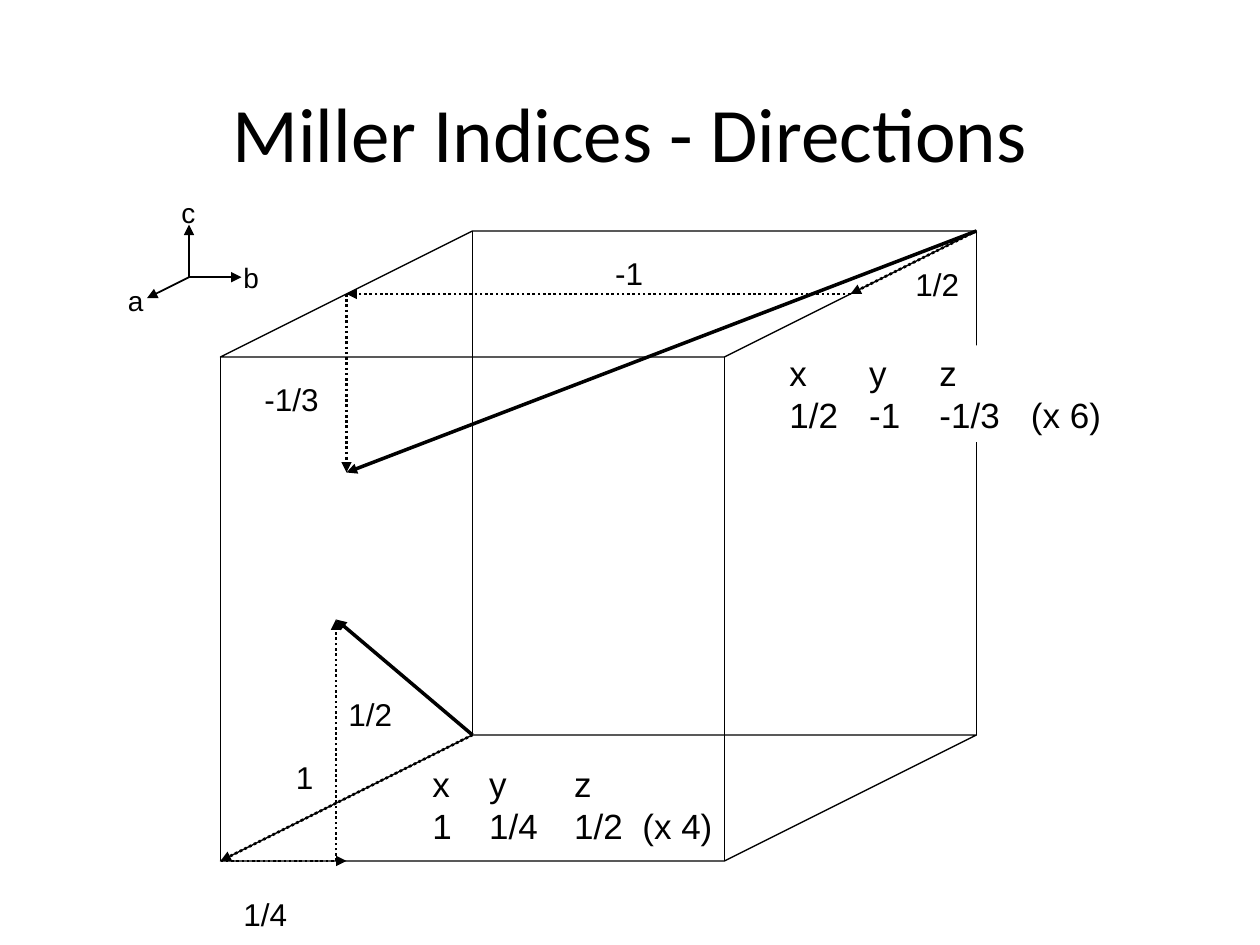
from typing import NamedTuple

from pptx import Presentation
from pptx.dml.color import RGBColor
from pptx.enum.dml import MSO_LINE_DASH_STYLE as Dash
from pptx.enum.shapes import MSO_CONNECTOR as Connector
from pptx.enum.text import MSO_ANCHOR as Anchor, MSO_AUTO_SIZE as AutoSize, PP_ALIGN as Align
from pptx.oxml.ns import qn
from pptx.util import Emu, Pt
from lxml.etree import SubElement

PX = 7620  # EMU per px, 120 px to the inch
BLACK, WHITE = "000000", "FFFFFF"

# Cube edges
FRONT_X, BACK_X = (210, 690), (450, 930)
TOP_FRONT, TOP_BACK, EDGE = 340, 220, 480


class Point(NamedTuple):
    x: int
    y: int


class Label(NamedTuple):
    text: str
    left: int
    top: int
    width: int
    height: int
    size: int
    fill: str | None = None


def colour(value: str) -> RGBColor:
    return RGBColor.from_string(value)


def add_text(page, text: str, left: int, top: int, width: int, height: int, *,
             size: int, font: str = "Arial", fill: str | None = None,
             align: Align = Align.LEFT, wrap: bool = False) -> None:
    box = page.shapes.add_textbox(*(Emu(v * PX) for v in (left, top, width, height)))
    if fill:
        box.fill.solid()
        box.fill.fore_color.rgb = colour(fill)
    frame = box.text_frame
    frame.word_wrap = wrap
    frame.auto_size = AutoSize.NONE if wrap else AutoSize.SHAPE_TO_FIT_TEXT
    frame.vertical_anchor = Anchor.MIDDLE
    for index, line in enumerate(text.split("\n")):
        para = frame.add_paragraph() if index else frame.paragraphs[0]
        para.alignment = align
        span = para.add_run()
        span.text = line
        span.font.size = Pt(size)
        span.font.name = font
        span.font.color.rgb = colour(BLACK)


def add_line(page, start: Point, end: Point, *, weight: float = 0.75,
             arrow: bool = True, dotted: bool = False) -> None:
    line = page.shapes.add_connector(Connector.STRAIGHT, *(Emu(v * PX) for v in (*start, *end)))
    line.line.color.rgb = colour(BLACK)
    line.line.width = Pt(weight)
    if dotted:
        line.line.dash_style = Dash.ROUND_DOT
    properties = line._element.spPr
    if arrow:
        SubElement(properties.find(qn("a:ln")), qn("a:tailEnd"), type="triangle")
    SubElement(properties, qn("a:effectLst"))


def add_face(page, corners: list[Point]) -> None:
    builder = page.shapes.build_freeform(*corners[0], scale=PX)
    builder.add_line_segments(corners[1:], close=True)
    face = builder.convert_to_shape()
    face.shadow.inherit = False
    face.fill.background()
    face.line.color.rgb = colour(BLACK)
    face.line.width = Pt(0.75)


def add_cube(page) -> None:
    top = [Point(FRONT_X[0], TOP_FRONT), Point(FRONT_X[1], TOP_FRONT),
           Point(BACK_X[1], TOP_BACK), Point(BACK_X[0], TOP_BACK)]
    bottom = [Point(x, y + EDGE) for x, y in top]
    add_face(page, top)
    add_face(page, bottom)
    for upper, lower in zip(top, bottom):
        add_line(page, upper, lower, arrow=False)


def add_direction(page, steps: list[tuple[Point, Point]], start: Point, end: Point) -> None:
    for step in steps:
        add_line(page, *step, weight=1.5, dotted=True)
    add_line(page, start, end, weight=2)


def add_labels(page, labels: list[Label]) -> None:
    for label in labels:
        add_text(page, *label[:5], size=label.size, fill=label.fill)


def main() -> None:
    deck = Presentation()
    deck.slide_width, deck.slide_height = Emu(1200 * PX), Emu(900 * PX)
    page = deck.slides.add_slide(deck.slide_layouts[6])

    add_text(page, "Miller Indices - Directions", 90, 50, 1020, 150,
             size=44, font="Calibri", align=Align.CENTER, wrap=True)
    add_cube(page)

    # Axes
    for tip in (Point(140, 284), Point(180, 214), Point(230, 264)):
        add_line(page, Point(180, 264), tip, weight=1)
    add_labels(page, [
        Label("b", 220, 242, 41, 44, 16),
        Label("a", 110, 264, 39, 44, 16),
        Label("c", 161, 180, 39, 44, 16),
    ])

    # Lower direction
    back, front, tip = Point(450, 700), Point(210, 820), Point(320, 590)
    add_direction(page, [(back, front), (front, Point(330, 820)), (Point(320, 820), tip)], back, tip)
    add_labels(page, [
        Label("1", 270, 710, 47, 60, 18),
        Label("1/4", 220, 840, 79, 60, 18),
        Label("1/2", 320, 650, 79, 60, 18),
    ])

    # Upper direction
    route = [Point(930, 220), Point(810, 280), Point(330, 280), Point(330, 450)]
    add_direction(page, list(zip(route, route[1:])), route[0], route[-1])
    add_labels(page, [
        Label("-1/3", 240, 350, 94, 60, 18),
        Label("1/2", 860, 240, 79, 60, 18),
        Label("-1", 574, 230, 60, 60, 18),
    ])

    # Index tables
    add_labels(page, [
        Label("x\n1", 400, 720, 43, 92, 20),
        Label("y\n1/4", 454, 720, 71, 92, 20, WHITE),
        Label("z\n1/2", 535, 720, 71, 92, 20, WHITE),
        Label("(x 4)", 600, 760, 91, 52, 20),
        Label("x\n1/2", 740, 329, 71, 92, 20, WHITE),
        Label("y\n-1", 816, 329, 54, 92, 20, WHITE),
        Label("z\n-1/3", 883, 329, 82, 92, 20, WHITE),
        Label("(x 6)", 970, 369, 91, 52, 20, WHITE),
    ])

    deck.save("out.pptx")


if __name__ == "__main__":
    main()
